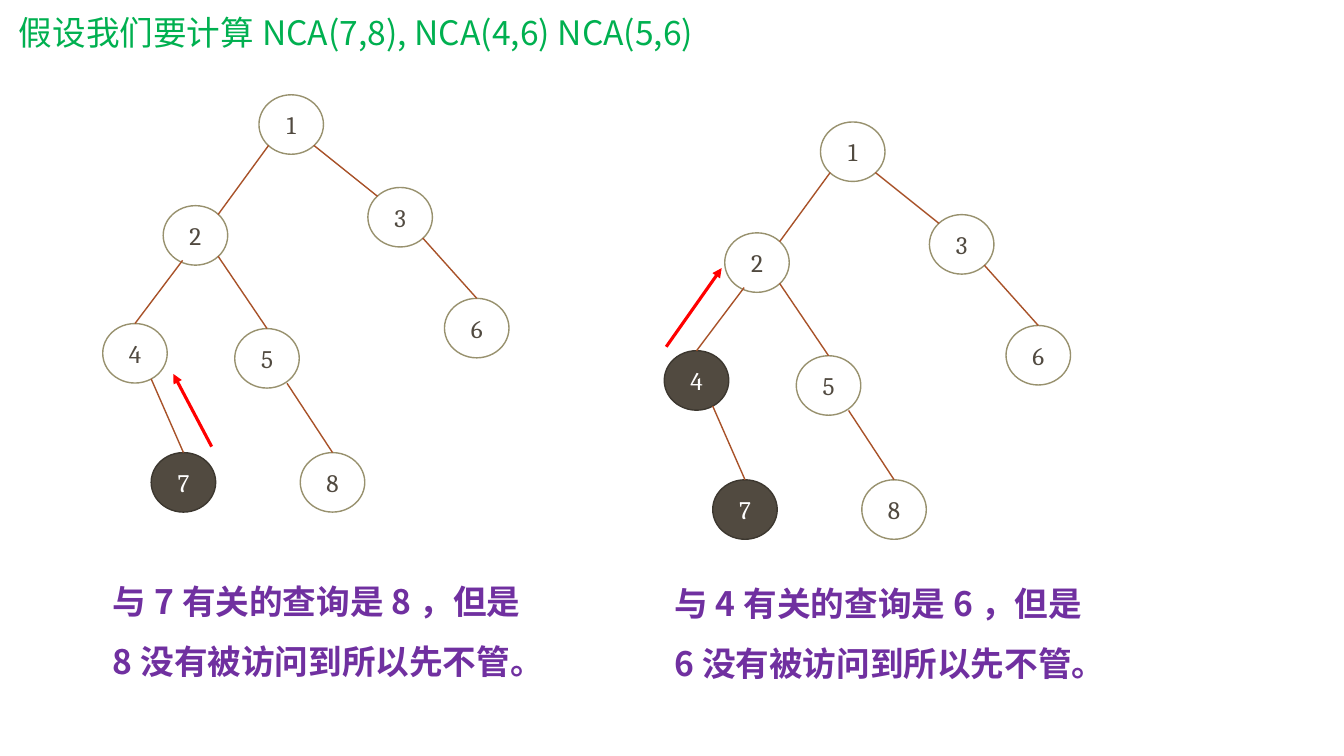
from lxml import etree
from pptx import Presentation
from pptx import util as u
from pptx.dml.color import RGBColor
from pptx.enum import shapes, text
from pptx.oxml import ns

WHITE = RGBColor(0xFF, 0xFF, 0xFF)
DARK = RGBColor(0x51, 0x4A, 0x40)
DARK_OUTLINE = RGBColor(0x3C, 0x37, 0x2F)
OUTLINE = RGBColor(0x98, 0x91, 0x6E)
EDGE = RGBColor(0xA8, 0x52, 0x29)
RED = RGBColor(0xFF, 0x00, 0x00)
GREEN = RGBColor(0x00, 0xB0, 0x50)
PURPLE = RGBColor(0x70, 0x30, 0xA0)

NODE_FONT = "Cambria"
TEXT_FONT = "Noto Sans CJK SC"
NODE_WIDTH, NODE_HEIGHT = 46.1, 42.5

# Top-left corner of each node within its tree
NODES = {
    1: (111.6, 0), 2: (43.2, 79.2), 3: (189.4, 66.2), 4: (0, 163.4),
    5: (94.3, 167), 6: (244.1, 145.4), 7: (34.6, 255.6), 8: (141.1, 255.6),
}

# Parent, child, then the edge's ends as fractions of the node size
LOW, HIGH = 0.15, 0.85
TOP = (0.5, 0)
EDGES = [
    (1, 2, (LOW, HIGH), (HIGH, LOW)),
    (1, 3, (HIGH, HIGH), (LOW, LOW)),
    (2, 4, (0.3, 0.92), TOP),
    (2, 5, (HIGH, HIGH), TOP),
    (3, 6, (HIGH, HIGH), TOP),
    (4, 7, (0.75, 0.93), TOP),
    (5, 8, (0.81, 0.92), TOP),
]


def add_line(slide, start, end, color, width):
    line = slide.shapes.add_connector(
        shapes.MSO_CONNECTOR.STRAIGHT, *(u.Pt(value) for value in (*start, *end)))
    line.line.color.rgb = color
    line.line.width = u.Pt(width)
    etree.SubElement(line._element.spPr, ns.qn("a:effectLst"))
    return line


def add_arrow(slide, start, end):
    arrow = add_line(slide, start, end, RED, 2.25)
    head = etree.SubElement(arrow.line._get_or_add_ln(), ns.qn("a:tailEnd"))
    head.set("type", "triangle")


def add_text(slide, left, top, width, height, words, color, bold=False, spacing=1.0):
    box = slide.shapes.add_textbox(u.Pt(left), u.Pt(top), u.Pt(width), u.Pt(height))
    box.text_frame.word_wrap = True
    paragraph = box.text_frame.paragraphs[0]
    paragraph.line_spacing = spacing
    run = paragraph.add_run()
    run.text = words
    run.font.size = u.Pt(24)
    run.font.bold = bold
    run.font.color.rgb = color
    run.font.name = TEXT_FONT
    east_asian = etree.SubElement(run.font._element, ns.qn("a:ea"))
    east_asian.set("typeface", TEXT_FONT)


def add_node(slide, left, top, number, visited):
    node = slide.shapes.add_shape(
        shapes.MSO_SHAPE.OVAL, u.Pt(left), u.Pt(top), u.Pt(NODE_WIDTH), u.Pt(NODE_HEIGHT))
    node.shadow.inherit = False
    node.fill.solid()
    node.fill.fore_color.rgb = DARK if visited else WHITE
    node.line.color.rgb = DARK_OUTLINE if visited else OUTLINE
    node.line.width = u.Pt(1)
    node.text_frame.vertical_anchor = text.MSO_ANCHOR.MIDDLE
    paragraph = node.text_frame.paragraphs[0]
    paragraph.alignment = text.PP_ALIGN.CENTER
    run = paragraph.add_run()
    run.text = str(number)
    run.font.name = NODE_FONT
    run.font.size = u.Pt(18)
    run.font.color.rgb = WHITE if visited else DARK
    return node


def add_tree(slide, left, top, visited, arrow):
    # Nodes
    nodes = {
        number: add_node(slide, left + x, top + y, number, number in visited)
        for number, (x, y) in NODES.items()
    }

    def point_on(number, fraction):
        x, y = NODES[number]
        return (left + x + fraction[0] * NODE_WIDTH, top + y + fraction[1] * NODE_HEIGHT)

    # Edges
    for parent, child, start, end in EDGES:
        edge = add_line(slide, point_on(parent, start), point_on(child, end), EDGE, 1)
        if end == TOP:
            edge.end_connect(nodes[child], 0)

    # Step back up the tree
    add_arrow(slide, *((left + x, top + y) for x, y in arrow))


def main():
    presentation = Presentation()
    presentation.slide_width = u.Pt(960)
    presentation.slide_height = u.Pt(540)
    slide = presentation.slides.add_slide(presentation.slide_layouts[6])

    # Heading
    add_text(slide, 6.5, 5, 557, 36, "假设我们要计算NCA(7,8), NCA(4,6) NCA(5,6)", GREEN)

    # Trees with their captions
    steps = [
        (73.4, 67.7, {7}, [(77.8, 251.3), (50.4, 199.4)], 396.7,
         "与7有关的查询是8，但是8没有被访问到所以先不管。"),
        (474.5, 87.1, {4, 7}, [(1.4, 160.6), (41, 104.4)], 398.2,
         "与4有关的查询是6，但是6没有被访问到所以先不管。"),
    ]
    for left, top, visited, arrow, caption_top, caption in steps:
        add_tree(slide, left, top, visited, arrow)
        add_text(slide, left, caption_top, 309.6, 87.8, caption, PURPLE, bold=True, spacing=1.5)

    presentation.save("out.pptx")


if __name__ == "__main__":
    main()
